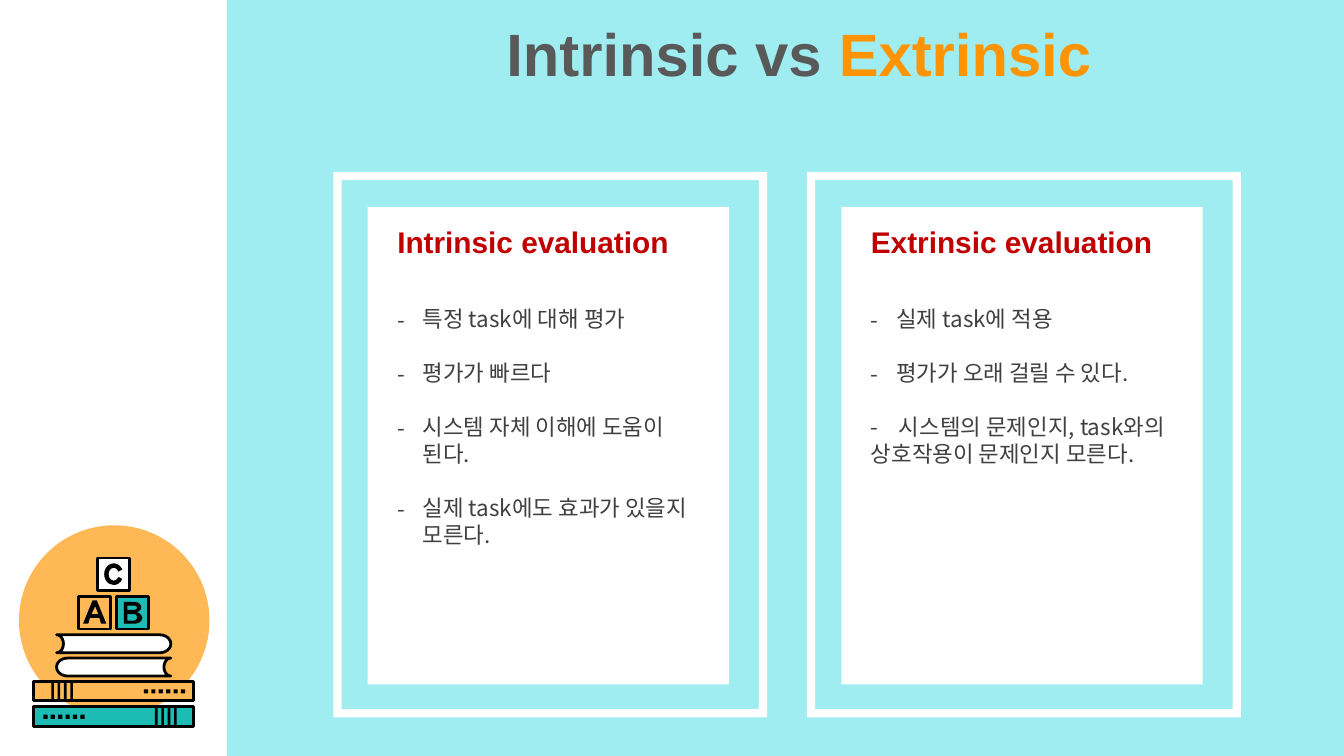
from math import cos, radians, sin

from lxml import etree
from pptx import Presentation
from pptx.dml.color import RGBColor
from pptx.enum.shapes import MSO_SHAPE
from pptx.enum.text import PP_ALIGN
from pptx.oxml.ns import qn
from pptx.util import Cm, Pt

RECT, OVAL = MSO_SHAPE.RECTANGLE, MSO_SHAPE.OVAL
FRAME, RING = MSO_SHAPE.FRAME, MSO_SHAPE.BLOCK_ARC
CENTER = PP_ALIGN.CENTER


class Theme:
    sky, white, black = "9FEDF0", "FFFFFF", "000000"
    amber, teal = "FEB856", "1CBBB4"
    gray, orange, red, ink = "595959", "FE9401", "C00000", "404040"
    head, body = "Arial", "Noto Sans CJK KR"
    title, sub, text, pitch = Pt(32), Pt(16), Pt(12), Pt(14.45)
    edge = Pt(1.5)


def paint(shape, fill, edge):
    shape.shadow.inherit = False
    shape.fill.solid()
    shape.fill.fore_color.rgb = RGBColor.from_string(fill)
    if edge:
        shape.line.color.rgb = RGBColor.from_string(Theme.black)
        shape.line.width = Theme.edge
    else:
        shape.line.fill.background()


def arc(x, y, rx, ry, start, end):
    """Points on an ellipse round (x, y), from start to end in degrees."""
    turns = [radians(start + (end - start) * i / 12) for i in range(13)]
    return [(x + rx * cos(t), y + ry * sin(t)) for t in turns]


deck = Presentation()
deck.slide_width, deck.slide_height = Cm(25.4), Cm(14.29)
slide = deck.slides.add_slide(deck.slide_layouts[6])
shapes = slide.shapes

# Side band, disc, thick books and toy blocks: kind, place, fill, edge, adjustments
parts = [
    (RECT, (4.29, 0, 21.11, 14.29), Theme.sky, False, []),
    (OVAL, (0.36, 9.93, 3.6, 3.6), Theme.amber, False, []),
]
for top, fill, bars, dots in [
    (12.88, Theme.amber, 0.97, 2.72),
    (13.36, Theme.teal, 2.93, 0.82),
]:
    parts.append((RECT, (0.64, top, 3.02, 0.37), fill, True, []))
    for i in range(4):
        parts.append((RECT, (bars + 0.12 * i, top, 0.05, 0.37), Theme.black, False, []))
    for i in range(6):
        spot = (dots + 0.14 * i, top + 0.15, 0.08, 0.08)
        parts.append((RECT, spot, Theme.black, False, []))
for left, top, fill in [
    (1.48, 11.28, Theme.amber),
    (2.2, 11.28, Theme.teal),
    (1.84, 10.55, Theme.white),
]:
    parts.append((RECT, (left, top, 0.61, 0.61), fill, True, []))
parts.append((RING, (1.97, 10.65, 0.36, 0.41), Theme.black, False, [17.57, 198.9, 0.23]))

# Cards
GAP = 8.95
for i in range(2):
    x = GAP * i
    parts.append((FRAME, (6.3 + x, 3.25, 8.2, 10.31), Theme.white, False, [0.019]))
    parts.append((RECT, (6.95 + x, 3.91, 6.83, 9.03), Theme.white, False, []))

for kind, place, fill, edge, tweaks in parts:
    shape = shapes.add_shape(kind, *map(Cm, place))
    for i, tweak in enumerate(tweaks):
        shape.adjustments[i] = tweak
    paint(shape, fill, edge)

# Letters and open books as outlines, each a list of closed loops
a_loops = [
    [(1.75, 11.35), (1.83, 11.35), (2.01, 11.79), (1.91, 11.79),
     (1.88, 11.68), (1.7, 11.68), (1.67, 11.79), (1.57, 11.79)],
    [(1.8, 11.46), (1.73, 11.61), (1.86, 11.61)],
]
b_loops = [
    [(2.34, 11.38), *arc(2.54, 11.48, 0.13, 0.1, -90, 90),
     *arc(2.54, 11.68, 0.15, 0.11, -90, 90), (2.34, 11.79)],
    [(2.41, 11.45), *arc(2.54, 11.49, 0.05, 0.04, -90, 90), (2.41, 11.53)],
    [(2.41, 11.61), *arc(2.54, 11.67, 0.05, 0.06, -90, 90), (2.41, 11.73)],
]
book = arc(3.02, 12.17, 0.21, 0.17, -90, 90) + arc(1.07, 12.17, 0.13, 0.17, 90, -90)
flipped = [(4.3 - x, y + 0.44) for x, y in book]
for loops, fill, edge in [
    (a_loops, Theme.black, False),
    (b_loops, Theme.black, False),
    ([book], Theme.white, True),
    ([flipped], Theme.white, True),
]:
    pen = None
    for loop in loops:
        dots = [(Cm(x), Cm(y)) for x, y in loop]
        if pen:
            pen.move_to(*dots[0])
        else:
            pen = shapes.build_freeform(*dots[0])
        pen.add_line_segments(dots[1:], close=True)
    paint(pen.convert_to_shape(), fill, edge)

# Title
frame = shapes.add_textbox(Cm(4.85), Cm(0.2), Cm(20.5), Cm(2.16)).text_frame
frame.word_wrap = True
para = frame.paragraphs[0]
para.alignment = CENTER
for words, color in [("Intrinsic vs ", Theme.gray), ("Extrinsic", Theme.orange)]:
    run = para.add_run()
    run.text = words
    run.font.name, run.font.size, run.font.bold = Theme.head, Theme.title, True
    run.font.color.rgb = RGBColor.from_string(color)

# Card text; a line with a tab carries its own dash and wraps to the margin
cards = [
    ("Intrinsic evaluation", [
        "특정 task에 대해 평가",
        "평가가 빠르다",
        "시스템 자체 이해에 도움이 된다.",
        "실제 task에도 효과가 있을지 모른다.",
    ]),
    ("Extrinsic evaluation", [
        "실제 task에 적용",
        "평가가 오래 걸릴 수 있다.",
        "-\t시스템의 문제인지, task와의 상호작용이 문제인지 모른다.",
    ]),
]
for i, (name, points) in enumerate(cards):
    left = Cm(7.26 + GAP * i)
    frame = shapes.add_textbox(left, Cm(4.11), Cm(6.27), Cm(0.94)).text_frame
    frame.word_wrap = True
    run = frame.paragraphs[0].add_run()
    run.text = name
    run.font.name, run.font.size, run.font.bold = Theme.head, Theme.sub, True
    run.font.color.rgb = RGBColor.from_string(Theme.red)

    frame = shapes.add_textbox(left, Cm(5.64), Cm(6.27), Cm(6.4)).text_frame
    frame.word_wrap = True
    for j, point in enumerate(points):
        para = frame.add_paragraph() if j else frame.paragraphs[0]
        para.line_spacing = Theme.pitch
        if j:
            para.space_before = Theme.pitch
        props = para._p.get_or_add_pPr()
        if "\t" in point:
            tabs = etree.SubElement(props, qn("a:tabLst"))
            etree.SubElement(tabs, qn("a:tab"), pos=str(Cm(0.53)), algn="l")
        else:
            props.set("marL", str(Cm(0.48)))
            props.set("indent", str(-Cm(0.48)))
            etree.SubElement(props, qn("a:buFont"), typeface=Theme.body)
            etree.SubElement(props, qn("a:buChar"), char="-")
        run = para.add_run()
        run.text = point
        run.font.name, run.font.size = Theme.body, Theme.text
        run.font.color.rgb = RGBColor.from_string(Theme.ink)
        etree.SubElement(run.font._element, qn("a:ea"), typeface=Theme.body)

deck.save("out.pptx")
